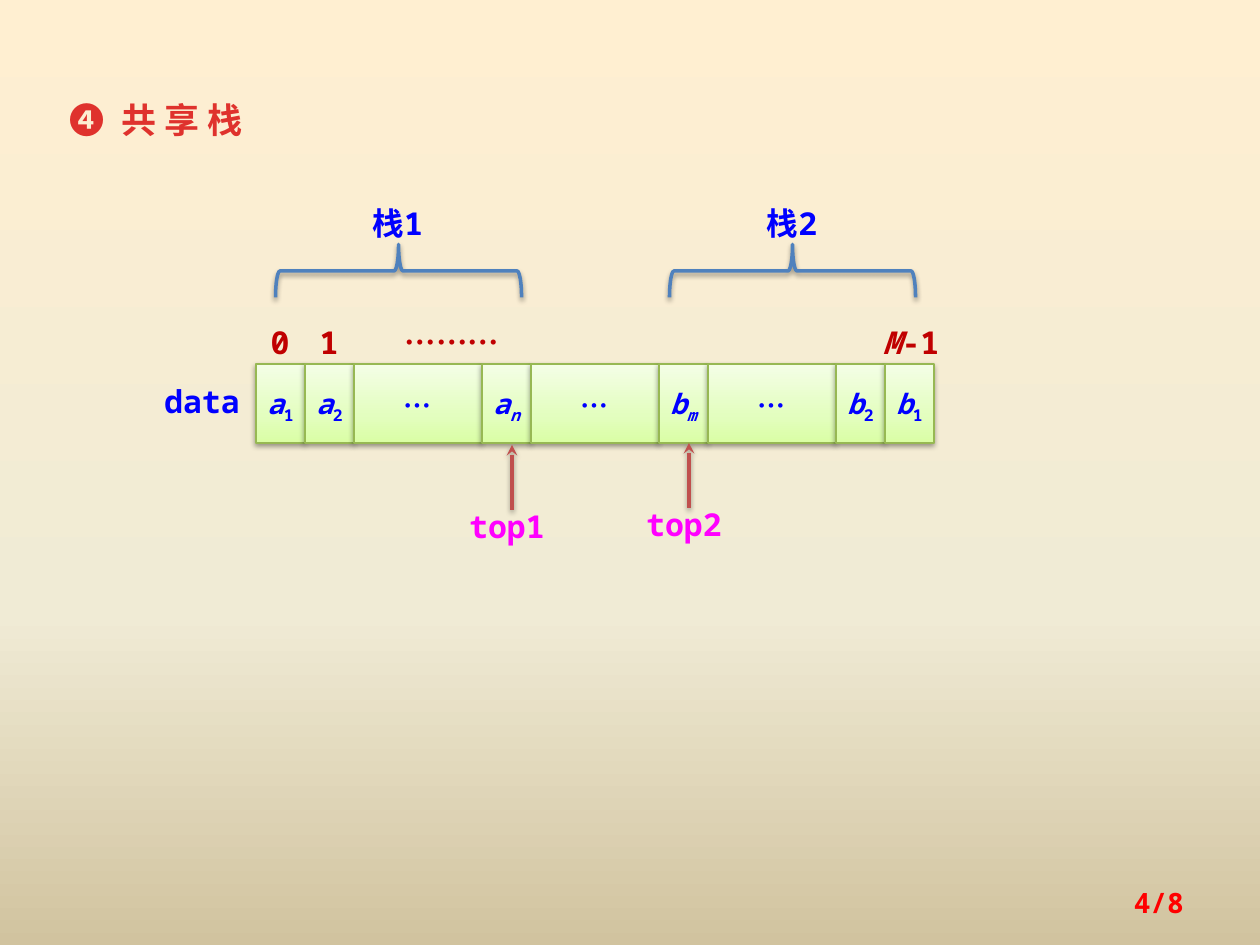
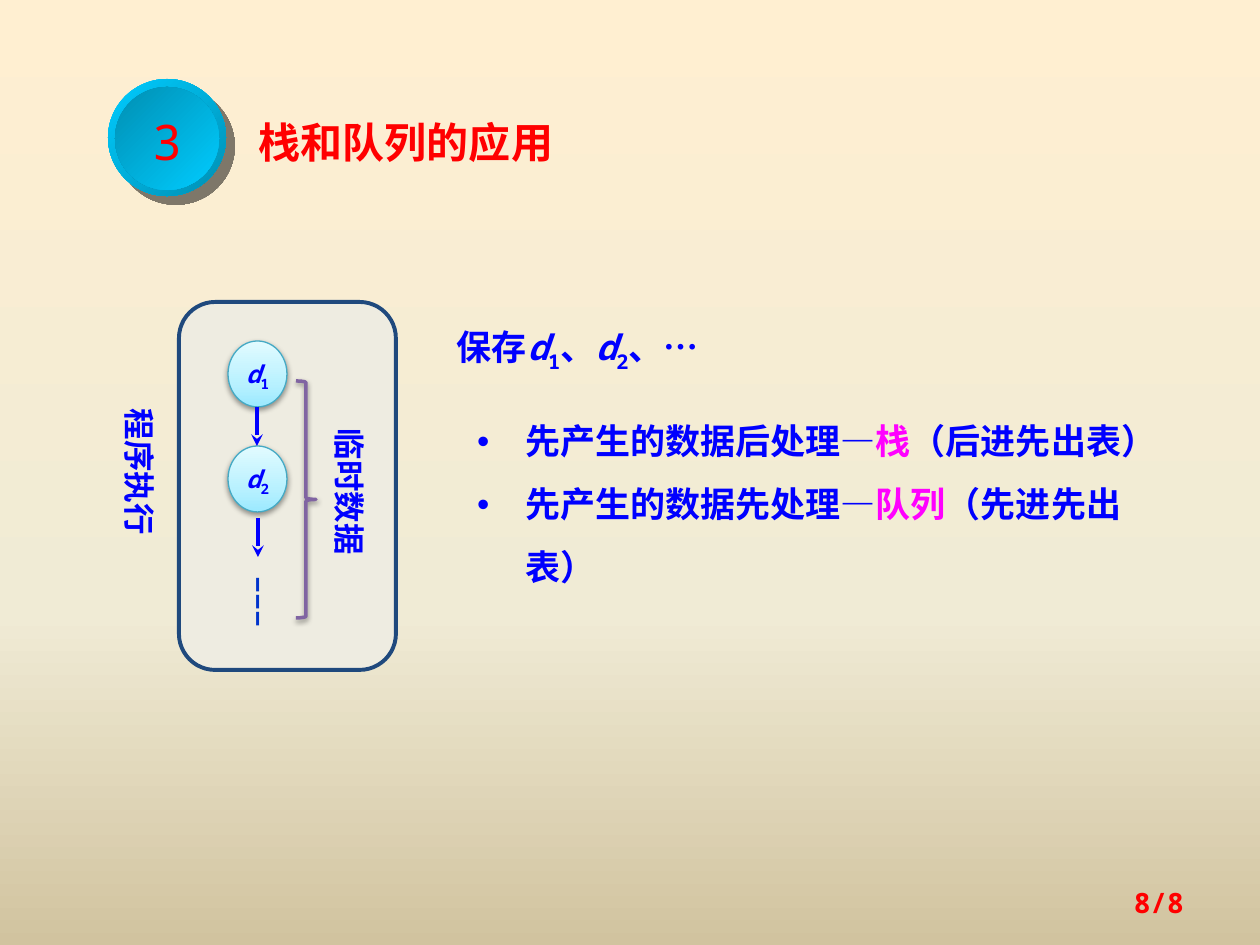
from dataclasses import dataclass, field
from typing import Any

import pptx
import pptx.dml.color
import pptx.enum.shapes
import pptx.enum.text
import pptx.oxml.ns
import pptx.util
from lxml import etree

MONO, CJK = "Noto Sans Mono", "Noto Sans CJK SC"
BLUE, RED, MAGENTA, DARK_RED = "0000FF", "FF0000", "FF00FF", "C00000"
BACKDROP = ((0, "FFEFD1"), (65, "F0EBD5"), (100, "D1C39F"))
GREEN = ((0, "DAFEA4"), (35, "E3FEBF"), (100, "F4FEE6"))
AQUA = ((0, "9BE9FF"), (35, "B8F1FF"), (100, "E2FBFF"))
RIM = ((0, "00CCFF"), (100, "008FB3"))
FACE = ((0, "008FB3"), (100, "00CCFF"))
PX_PER_INCH = 126
LABEL_H = 41
PAD = (13, 6)

MSO = pptx.enum.shapes.MSO_SHAPE
ALIGN = pptx.enum.text.PP_ALIGN
ANCHOR = pptx.enum.text.MSO_ANCHOR
qn = pptx.oxml.ns.qn
Stops = tuple[tuple[int, str], ...]


@dataclass(frozen=True)
class Box:
    x: int
    y: int
    w: int
    h: int


@dataclass(frozen=True)
class Run:
    text: str
    fmt: dict[str, Any] = field(default_factory=dict)


@dataclass(frozen=True)
class Shadow:
    color: str
    alpha: int
    blur: float
    dist: float
    angle: int


@dataclass(frozen=True)
class Cell:
    w: int
    runs: list[Run]


@dataclass(frozen=True)
class Pointer:
    text: str
    x: int
    tip: int


SOFT = Shadow("000000", 38, 3.1, 1.6, 90)
HARD = Shadow("020202", 50, 0, 7.1, 45)


def px(n: int) -> int:
    return round(n * 914400 / PX_PER_INCH)


def rgb(color: str):
    return pptx.dml.color.RGBColor.from_string(color)


def sub(parent, tag: str, **attrs):
    return etree.SubElement(parent, qn(tag), {k: str(v) for k, v in attrs.items()})


def place(sp, box: Box) -> None:
    sp.left, sp.top, sp.width, sp.height = px(box.x), px(box.y), px(box.w), px(box.h)


def gradient(owner, fill, stops: Stops, angle: int) -> None:
    fill.gradient()
    grad = owner.find(".//" + qn("a:gradFill"))
    for child in list(grad):
        grad.remove(child)
    gs_list = sub(grad, "a:gsLst")
    for pos, color in stops:
        sub(sub(gs_list, "a:gs", pos=pos * 1000), "a:srgbClr", val=color)
    sub(grad, "a:lin", ang=angle * 60000, scaled=0)


def set_shadow(sp, shadow: Shadow | None) -> None:
    effects = sub(sp._element.spPr, "a:effectLst")
    if shadow:
        outer = sub(effects, "a:outerShdw", blurRad=pptx.util.Pt(shadow.blur),
                    dist=pptx.util.Pt(shadow.dist), dir=shadow.angle * 60000, rotWithShape=0)
        sub(sub(outer, "a:srgbClr", val=shadow.color), "a:alpha", val=shadow.alpha * 1000)


def add_run(p, text: str, *, size: int = 18, color: str = BLUE, font: str = MONO,
            bold: bool = True, italic: bool = False, base: int = 0, spacing: int = 0) -> None:
    r = p.add_run()
    r.text = text
    r.font.size = pptx.util.Pt(size)
    r.font.bold, r.font.italic, r.font.name = bold, italic, font
    r.font.color.rgb = rgb(color)
    rpr = r._r.get_or_add_rPr()
    sub(rpr, "a:ea", typeface=CJK)
    if base:
        rpr.set("baseline", str(base * 1000))
    if spacing:
        rpr.set("spc", str(spacing))


def write(sp, paragraphs: list[list[Run]], *, align=ALIGN.CENTER, anchor=ANCHOR.TOP,
          pad: tuple[int, int] = (0, 0), spacing: float = 1.1, **fmt) -> None:
    tf = sp.text_frame
    tf.word_wrap = True
    tf.auto_size = pptx.enum.text.MSO_AUTO_SIZE.NONE
    tf.vertical_anchor = anchor
    tf.margin_left = tf.margin_right = px(pad[0])
    tf.margin_top = tf.margin_bottom = px(pad[1])
    for i, runs in enumerate(paragraphs):
        p = tf.add_paragraph() if i else tf.paragraphs[0]
        p.alignment, p.line_spacing = align, spacing
        p.space_before = pptx.util.Pt(0)
        for run in runs:
            add_run(p, run.text, **{**fmt, **run.fmt})


def add_text(s, box: Box, runs: list[Run], *, rotation: int = 0, **fmt):
    sp = s.shapes.add_textbox(0, 0, 0, 0)
    place(sp, box)
    sp.rotation = rotation
    write(sp, [runs], **fmt)
    return sp


def add_label(s, cx: int, y: int, runs: list[Run], *, w: int = 88, **fmt) -> None:
    add_text(s, Box(cx - w // 2, y, w, LABEL_H), runs, **fmt)


def add_shape(s, kind, box: Box, *, fill: str | Stops | None = None, angle: int = 270,
              line: str | None = None, width: float = 0.75, shadow: Shadow | None = None,
              rotation: int = 0):
    sp = s.shapes.add_shape(kind, 0, 0, 0, 0)
    place(sp, box)
    sp.rotation = rotation
    if fill is None:
        sp.fill.background()
    elif isinstance(fill, str):
        sp.fill.solid()
        sp.fill.fore_color.rgb = rgb(fill)
    else:
        gradient(sp._element.spPr, sp.fill, fill, angle)
    if line:
        sp.line.color.rgb = rgb(line)
        sp.line.width = pptx.util.Pt(width)
    else:
        sp.line.fill.background()
    set_shadow(sp, shadow)
    return sp


def add_arrow(s, x: int, y1: int, y2: int, *, color: str, width: float,
              shadow: Shadow | None = None) -> None:
    c = s.shapes.add_connector(pptx.enum.shapes.MSO_CONNECTOR.STRAIGHT,
                               px(x), px(y1), px(x), px(y2))
    c.line.color.rgb = rgb(color)
    c.line.width = pptx.util.Pt(width)
    sub(c._element.spPr.find(qn("a:ln")), "a:tailEnd", type="stealth")
    set_shadow(c, shadow)


def set_title(s, box: Box, runs: list[Run], **fmt) -> None:
    place(s.shapes.title, box)
    write(s.shapes.title, [runs], align=ALIGN.LEFT, pad=PAD, **fmt)


def add_page_number(s, text: str) -> None:
    add_text(s, Box(903, 876, 294, 50), [Run(text)], align=ALIGN.RIGHT,
             anchor=ANCHOR.MIDDLE, pad=PAD, size=16, color=RED)


def indexed(name: str, index: str) -> list[Run]:
    return [Run(name, {"italic": True}),
            Run(index, {"base": -25, "italic": index.isalpha()})]


def shared_stack_slide(prs) -> None:
    s = prs.slides.add_slide(prs.slide_layouts[5])
    set_title(s, Box(57, 88, 266, 57), [Run("❹ ", {"spacing": 230}), Run("共 享 栈")],
              size=20, color="DF322D")

    gap = Cell(128, [Run("…", {"font": CJK})])
    a1, a2, an, bm, b2, b1 = (Cell(49, indexed(n, i)) for n, i in
                              ("a1", "a2", "an", "bm", "b2", "b1"))
    x = 256
    for cell in (a1, a2, gap, an, gap, bm, gap, b2, b1):
        sp = add_shape(s, MSO.RECTANGLE, Box(x, 364, cell.w, 79), fill=GREEN,
                       line="97B853", shadow=SOFT)
        write(sp, [cell.runs], anchor=ANCHOR.MIDDLE, pad=(0, 6), size=16)
        x += cell.w

    for cx, runs in ((280, [Run("0")]), (329, [Run("1")]),
                     (911, [Run("M", {"italic": True}), Run("-1")])):
        add_label(s, cx, 319, runs, color=DARK_RED)
    add_label(s, 452, 319, [Run("………")], w=118, color=DARK_RED, font=CJK)
    add_label(s, 202, 378, [Run("data")])

    for cx, name in ((398, "栈1"), (792, "栈2")):
        add_shape(s, MSO.LEFT_BRACE, Box(cx - 26, 148, 53, 246), line="4F81BD",
                  width=2, shadow=SOFT, rotation=90)
        add_label(s, cx, 200, [Run(name)])

    for top in (Pointer("top1", 512, 445), Pointer("top2", 689, 443)):
        add_arrow(s, top.x, top.tip + 65, top.tip, color="C0504D", width=2, shadow=SOFT)
        add_label(s, top.x - 5, top.tip + 58, [Run(top.text)], color=MAGENTA)
    add_page_number(s, "4/8")


def applications_slide(prs) -> None:
    s = prs.slides.add_slide(prs.slide_layouts[1])
    set_title(s, Box(246, 105, 384, 66), [Run("栈和队列的应用")], size=24, color=RED)
    add_shape(s, MSO.ROUNDED_RECTANGLE, Box(179, 302, 217, 368), fill="EEECE1",
              line="1F497D", width=2.25)
    add_shape(s, MSO.OVAL, Box(108, 79, 118, 117), fill=RIM, angle=45, shadow=HARD)
    badge = add_shape(s, MSO.OVAL, Box(115, 87, 104, 103), fill=FACE, angle=45)
    write(badge, [[Run("3")]], anchor=ANCHOR.MIDDLE, pad=PAD, size=28, color=RED, bold=False)

    for i, index in enumerate("12"):
        node = add_shape(s, MSO.OVAL, Box(228, 341 + 105 * i, 59, 66), fill=AQUA,
                         line="45A9C4", shadow=SOFT)
        write(node, [indexed("d", index)], anchor=ANCHOR.MIDDLE, size=14)
    for x, y in ((257, 407), (258, 518)):
        add_arrow(s, x, y, y + 39, color=BLUE, width=2.25)
    add_text(s, Box(233, 564, 49, 69), [Run("┆")], pad=PAD, size=24, color="0033CC")
    add_shape(s, MSO.RIGHT_BRACE, Box(296, 381, 20, 237), line="8064A2", width=2, shadow=SOFT)
    for box, text in ((Box(19, 441, 237, 62), "程序执行"), (Box(248, 460, 197, 64), "临时数据")):
        add_text(s, box, [Run(text)], rotation=90, pad=PAD)

    add_text(s, Box(444, 315, 403, 57),
             [Run("保存"), *indexed("d", "1"), Run("、"), *indexed("d", "2"),
              Run("、"), Run("…", {"font": CJK})],
             align=ALIGN.LEFT, pad=PAD, size=20)
    body = s.placeholders[1]
    place(body, Box(464, 393, 708, 132))
    rules = (("先产生的数据后处理―", "栈", "（后进先出表）"),
             ("先产生的数据先处理―", "队列", "（先进先出表）"))
    write(body, [[Run(cause), Run(name, {"color": MAGENTA}), Run(meaning)]
                 for cause, name, meaning in rules],
          align=ALIGN.LEFT, pad=PAD, spacing=1.5, size=20)
    for p in body.text_frame.paragraphs:
        ppr = p._p.get_or_add_pPr()
        ppr.set("marL", str(px(48)))
        ppr.set("indent", str(-px(48)))
        sub(sub(ppr, "a:buClr"), "a:srgbClr", val=BLUE)
        sub(ppr, "a:buFont", typeface="Arial")
        sub(ppr, "a:buChar", char="•")
    add_page_number(s, "8/8")


def main() -> None:
    prs = pptx.Presentation()
    prs.slide_width, prs.slide_height = px(1260), px(945)
    master = prs.slide_master
    gradient(master._element, master.background.fill, BACKDROP, 90)
    shared_stack_slide(prs)
    applications_slide(prs)
    prs.save("out.pptx")


if __name__ == "__main__":
    main()
